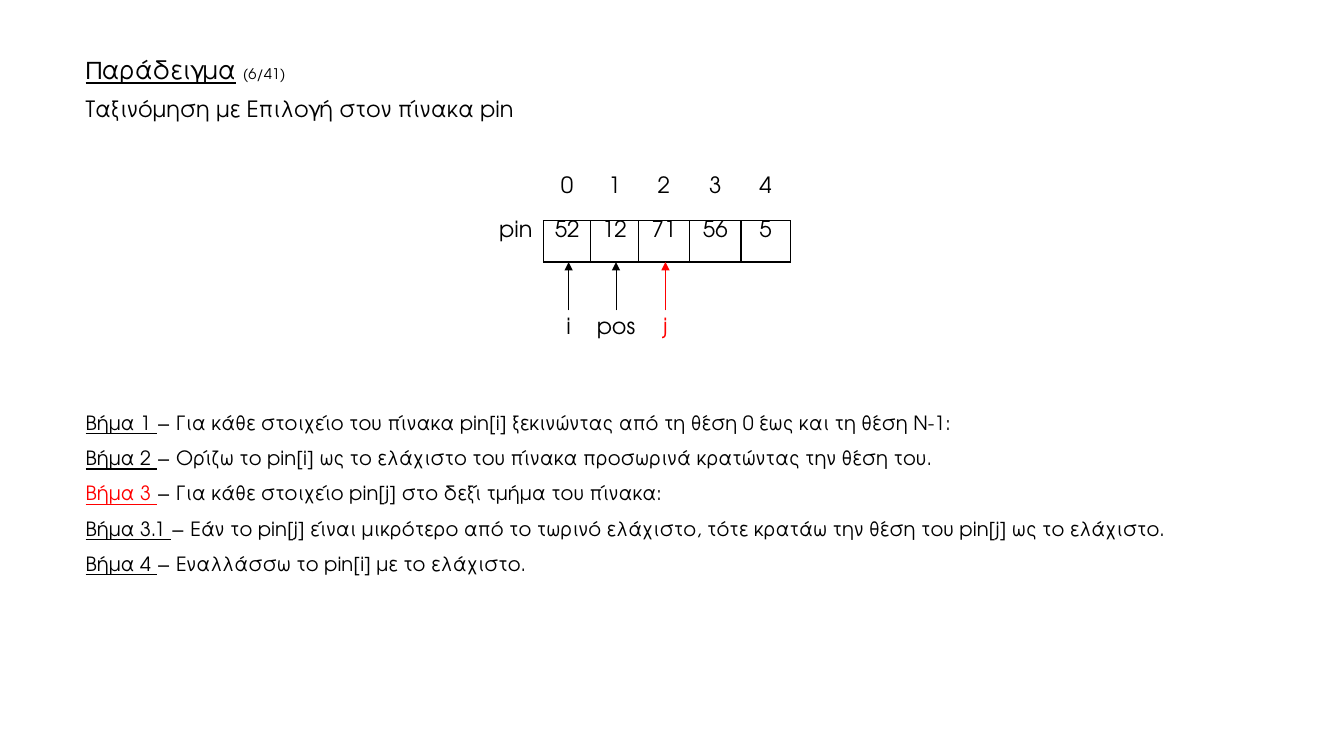
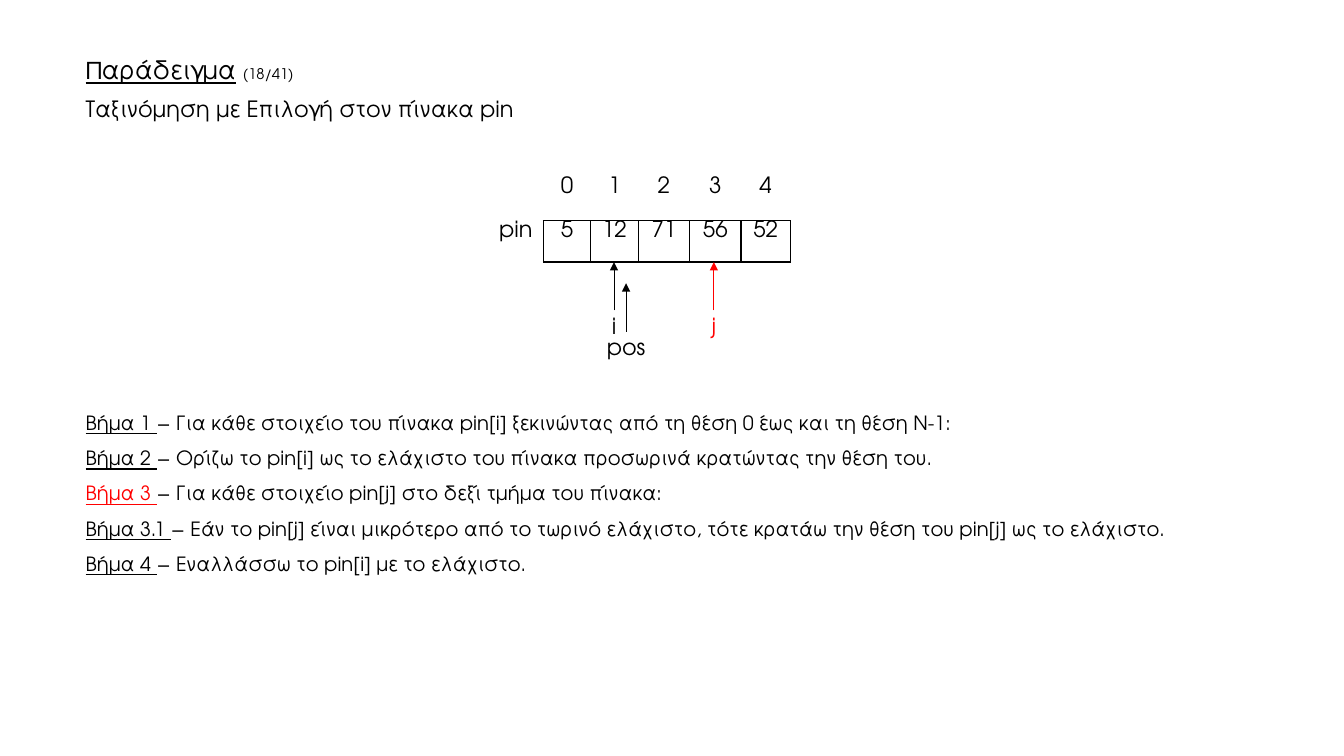
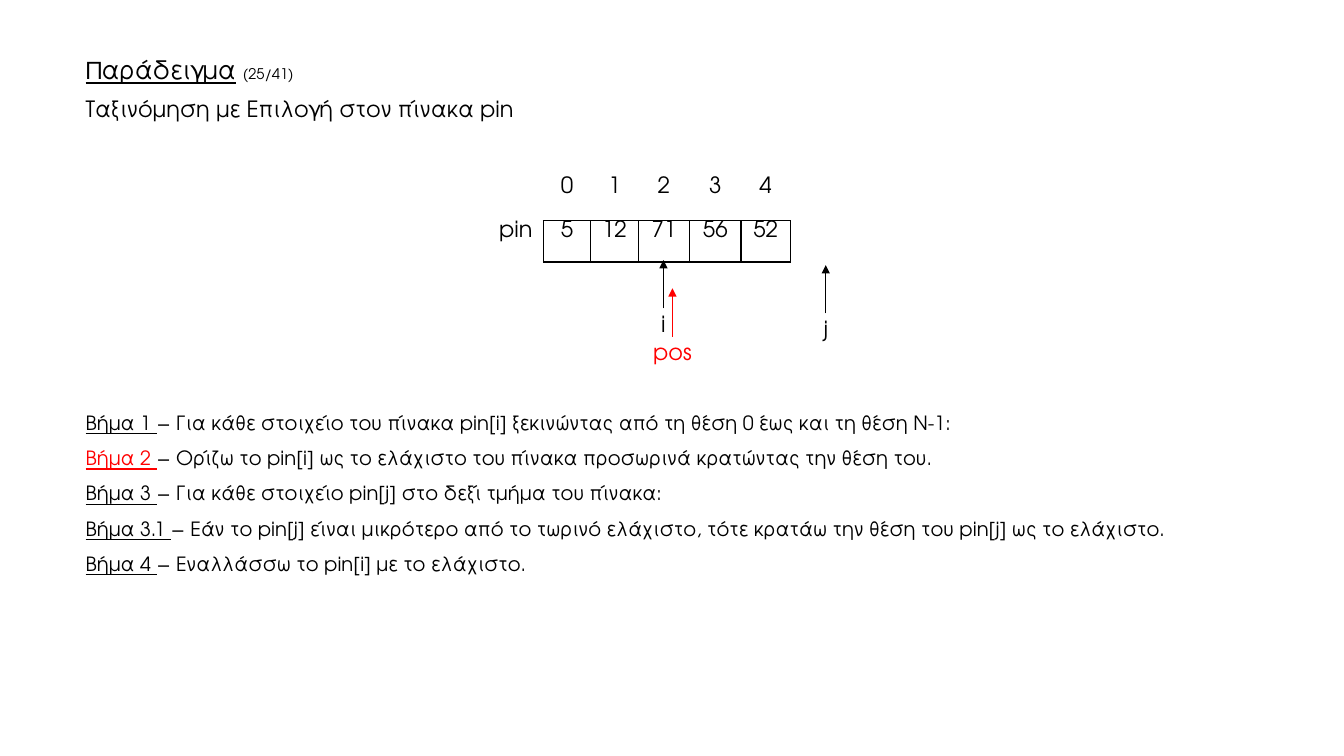
"""Build three steps of a selection sort walkthrough."""
import pptx
import pptx.dml.color
import pptx.enum.shapes
import pptx.enum.text
import pptx.oxml
import pptx.oxml.ns
import pptx.util

Inches = pptx.util.Inches
Pt = pptx.util.Pt
CENTER = pptx.enum.text.PP_ALIGN.CENTER
FONT = "TeX Gyre Adventor"
COLORS = {"ink": "000000", "active": "FF0000"}
PLAIN_TABLE = "{2D5ABB26-0587-4C30-8999-92F81FD0307C}"
COLUMN_WIDTHS = [0.55, 0.47, 0.47, 0.51, 0.51, 0.49]
ROW_HEIGHTS = [0.43, 0.41]
ARROW_LENGTH = 0.48
STEPS = [
    ("Βήμα 1 ", "− Για κάθε στοιχείο του πίνακα pin[i] ξεκινώντας από τη θέση 0 έως και τη θέση Ν-1:"),
    ("Βήμα 2 ", "− Ορίζω το pin[i] ως το ελάχιστο του πίνακα προσωρινά κρατώντας την θέση του."),
    ("Βήμα 3 ", "− Για κάθε στοιχείο pin[j] στο δεξί τμήμα του πίνακα:"),
    ("Βήμα 3.1 ", "− Εάν το pin[j] είναι μικρότερο από το τωρινό ελάχιστο, τότε κρατάω την θέση του pin[j] ως το ελάχιστο."),
    ("Βήμα 4 ", "− Εναλλάσσω το pin[i] με το ελάχιστο."),
]
PAGES = [
    {"number": "(6/41)", "values": [52, 12, 71, 56, 5], "active_step": 2,
     "pointers": [("i", 5.64, 3.08, "ink"), ("pos", 6.11, 3.08, "ink"), ("j", 6.6, 3.08, "active")]},
    {"number": "(18/41)", "values": [5, 12, 71, 56, 52], "active_step": 2,
     "pointers": [("i", 6.09, 3.08, "ink"), ("pos", 6.21, 3.29, "ink"), ("j", 7.08, 3.08, "active")]},
    {"number": "(25/41)", "values": [5, 12, 71, 56, 52], "active_step": 1,
     "pointers": [("i", 6.58, 3.06, "ink"), ("pos", 6.67, 3.34, "active"), ("j", 8.19, 3.11, "ink")]},
]


def write(para, text, size=16, color="ink", underline=False, align=None, spacing=None, before=None):
    span = para.add_run()
    span.text = text
    span.font.name = FONT
    span.font.size = Pt(size)
    span.font.underline = underline
    span.font.color.rgb = pptx.dml.color.RGBColor.from_string(COLORS[color])
    if align is not None:
        para.alignment = align
    if spacing is not None:
        para.line_spacing = spacing
    if before is not None:
        para.space_before = Pt(before)


def add_frame(page, left, top, width, height):
    box = page.shapes.add_textbox(Inches(left), Inches(top), Inches(width), Inches(height))
    box.text_frame.word_wrap = True
    return box.text_frame


deck = pptx.Presentation()
deck.slide_width = Inches(13.33)
deck.slide_height = Inches(7.5)

for content in PAGES:
    page = deck.slides.add_slide(deck.slide_layouts[6])

    steps = add_frame(page, 0.75, 3.91, 11.53, 1.82)
    for index, (label, sentence) in enumerate(STEPS):
        para = steps.add_paragraph() if index else steps.paragraphs[0]
        color = "active" if index == content["active_step"] else "ink"
        write(para, label, size=14, color=color, underline=True, spacing=1.5)
        write(para, sentence, size=14)

    heading = add_frame(page, 0.75, 0.52, 10.79, 0.77)
    title = heading.paragraphs[0]
    write(title, "Παράδειγμα", size=18, underline=True, spacing=0.9, before=10)
    write(title, " ", size=18)
    write(title, content["number"], size=10.5)
    write(heading.add_paragraph(), "Ταξινόμηση με Επιλογή στον πίνακα pin", spacing=0.9, before=10)

    table = page.shapes.add_table(
        2, 6, Inches(4.84), Inches(1.76), Inches(sum(COLUMN_WIDTHS)), Inches(sum(ROW_HEIGHTS))).table
    table.first_row = False
    table.horz_banding = False
    table._tbl.tblPr.find(pptx.oxml.ns.qn("a:tableStyleId")).text = PLAIN_TABLE
    for column, width in zip(table.columns, COLUMN_WIDTHS):
        column.width = Inches(width)
    for row, height in zip(table.rows, ROW_HEIGHTS):
        row.height = Inches(height)
    rows = [["", *range(5)], ["pin", *content["values"]]]
    for row_index, row in enumerate(rows):
        for column_index, value in enumerate(row):
            cell = table.cell(row_index, column_index)
            cell.margin_left = cell.margin_right = Inches(0.05)
            cell.margin_top = cell.margin_bottom = 0
            cell.fill.background()
            if value != "":
                write(cell.text_frame.paragraphs[0], str(value), align=CENTER)
            if column_index:
                edges = "LRTB" if row_index else "B"
            else:
                edges = "R" if row_index else ""
            for position, edge in enumerate(edges):
                border = pptx.oxml.parse_xml(
                    f'<a:ln{edge} {pptx.oxml.ns.nsdecls("a")} w="{Pt(1)}"><a:solidFill>'
                    f'<a:srgbClr val="{COLORS["ink"]}"/></a:solidFill></a:ln{edge}>')
                cell._tc.get_or_add_tcPr().insert(position, border)

    for name, center, top, color in content["pointers"]:
        width = 0.98 if name == "pos" else 0.24
        label = add_frame(page, center - width / 2, top, width, 0.36)
        label.word_wrap = name == "pos"
        write(label.paragraphs[0], name, color=color, align=CENTER, spacing=0.9, before=10)
        arrow = page.shapes.add_connector(
            pptx.enum.shapes.MSO_CONNECTOR.STRAIGHT,
            Inches(center), Inches(top), Inches(center), Inches(top - ARROW_LENGTH))
        arrow.line.width = Pt(0.5)
        arrow.line.color.rgb = pptx.dml.color.RGBColor.from_string(COLORS[color])
        arrow.line._get_or_add_ln().append(
            pptx.oxml.parse_xml(f'<a:tailEnd {pptx.oxml.ns.nsdecls("a")} type="triangle"/>'))
        arrow._element.spPr.append(
            pptx.oxml.parse_xml(f'<a:effectLst {pptx.oxml.ns.nsdecls("a")}/>'))

deck.save("out.pptx")
